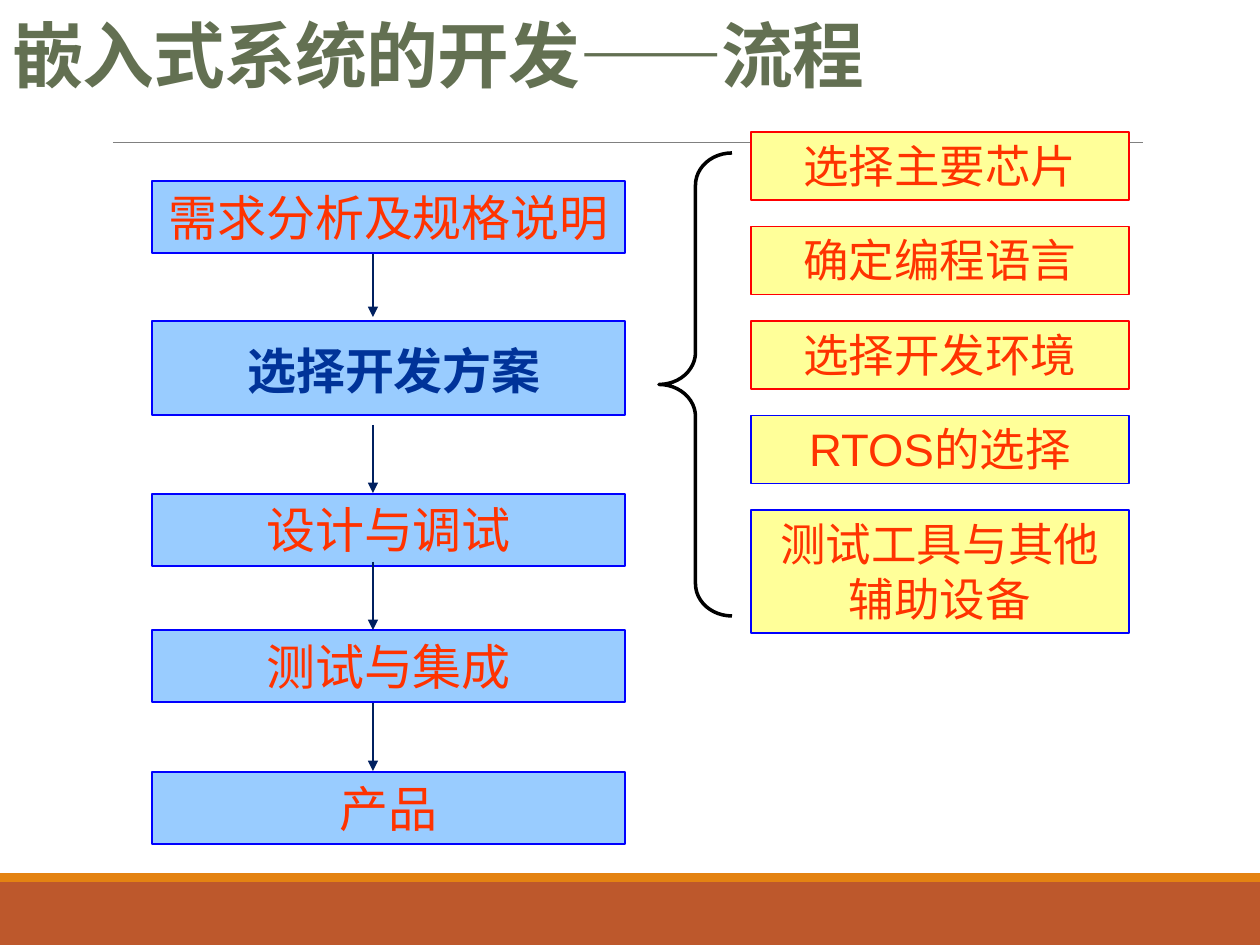
from lxml.etree import SubElement
from pptx import Presentation
from pptx.dml.color import RGBColor as RGB
from pptx.enum.shapes import MSO_CONNECTOR as CONN, MSO_SHAPE as SHAPE
from pptx.enum.text import MSO_ANCHOR as ANCHOR, MSO_AUTO_SIZE as FIT, PP_ALIGN as ALIGN
from pptx.oxml.ns import qn
from pptx.util import Pt

SCALE = 914400 / 126
COLORS = {
    "rust": "BD582C", "orange": "E48312", "gray": "808080", "olive": "637052",
    "sky": "99CCFF", "cream": "FFFF99", "blue": "0000FF", "red": "FF0000",
    "text": "FF3300", "navy": "003399", "arrow": "002060", "black": "000000",
}
STEP = {"size": Pt(28), "name": "Arial", "bold": False}
CHOICE = {"size": Pt(26), "name": "Arial", "bold": False}
PLAN = {"size": Pt(28), "name": "Arial", "bold": True}
TITLE = {"size": Pt(41), "name": "Noto Sans CJK SC", "bold": True}


def px(*values):
    return [round(v * SCALE) for v in values]


def rgb(name):
    return RGB.from_string(COLORS[name])


class Canvas:
    def __init__(self, slide):
        self.s = slide

    def shape(self, box, fill=None, line=None, width=0.75, kind=SHAPE.RECTANGLE):
        sp = self.s.shapes.add_shape(kind, *px(*box))
        sp.shadow.inherit = False
        if fill:
            sp.fill.solid()
            sp.fill.fore_color.rgb = rgb(fill)
        else:
            sp.fill.background()
        if line:
            sp.line.color.rgb = rgb(line)
            sp.line.width = Pt(width)
        else:
            sp.line.fill.background()
        return sp

    def text(self, sp, text, font, color="text", align=ALIGN.CENTER, fit=FIT.SHAPE_TO_FIT_TEXT):
        tf = sp.text_frame
        left, top = px(12, 6)
        frame = {
            "word_wrap": True, "auto_size": fit, "vertical_anchor": ANCHOR.TOP,
            "margin_left": left, "margin_right": left,
            "margin_top": top, "margin_bottom": top,
        }
        for key, value in frame.items():
            setattr(tf, key, value)
        p = tf.paragraphs[0]
        p.alignment = align
        r = p.add_run()
        r.text = text
        for key, value in font.items():
            setattr(r.font, key, value)
        r.font.color.rgb = rgb(color)
        SubElement(r._r.rPr, qn("a:ea")).set("typeface", font["name"])
        return p

    def label(self, box, text, font, color, **options):
        sp = self.s.shapes.add_textbox(*px(*box))
        return self.text(sp, text, font, color, **options)

    def line(self, start, end, color, width=0.75, arrow=False):
        c = self.s.shapes.add_connector(CONN.STRAIGHT, *px(*start, *end))
        c.line.color.rgb = rgb(color)
        c.line.width = Pt(width)
        if arrow:
            SubElement(c._element.spPr.find(qn("a:ln")), qn("a:tailEnd")).set("type", "triangle")
        SubElement(c._element.spPr, qn("a:effectLst"))


def main():
    prs = Presentation()
    prs.slide_width, prs.slide_height = px(1260, 945)
    canvas = Canvas(prs.slides.add_slide(prs.slide_layouts[6]))

    canvas.shape((0, 882, 1260, 63), "rust")
    canvas.shape((0, 873, 1260, 9), "orange")
    canvas.line((113, 142), (1143, 142), "gray", 0.5)

    title = canvas.label((0, 18, 1076, 113), "嵌入式系统的开发——流程", TITLE, "olive",
                         align=ALIGN.LEFT, fit=FIT.NONE)
    title.line_spacing = 0.85
    title.runs[0]._r.rPr.set("spc", "-50")

    steps = [("需求分析及规格说明", 181), ("设计与调试", 494), ("测试与集成", 630), ("产品", 772)]
    for text, top in steps:
        canvas.text(canvas.shape((152, top, 473, 72), "sky", "blue"), text, STEP)
    canvas.shape((152, 321, 473, 94), "sky", "blue")
    canvas.label((205, 334, 378, 72), "选择开发方案", PLAN, "navy")

    for top, bottom in [(254, 317), (425, 493), (562, 630), (703, 771)]:
        canvas.line((373, top), (373, bottom), "arrow", arrow=True)

    choices = [
        ("选择主要芯片", "red", 68), ("确定编程语言", "red", 68), ("选择开发环境", "red", 68),
        ("RTOS的选择", "blue", 68), ("测试工具与其他辅助设备", "blue", 123),
    ]
    for i, (text, line, height) in enumerate(choices):
        box = (751, 132 + i * 94.5, 378, height)
        canvas.text(canvas.shape(box, "cream", line), text, CHOICE)

    brace = canvas.shape((659, 153, 73, 463), None, "black", 2, SHAPE.LEFT_BRACE)
    brace.adjustments[0] = 0.44

    prs.save("out.pptx")


if __name__ == "__main__":
    main()
